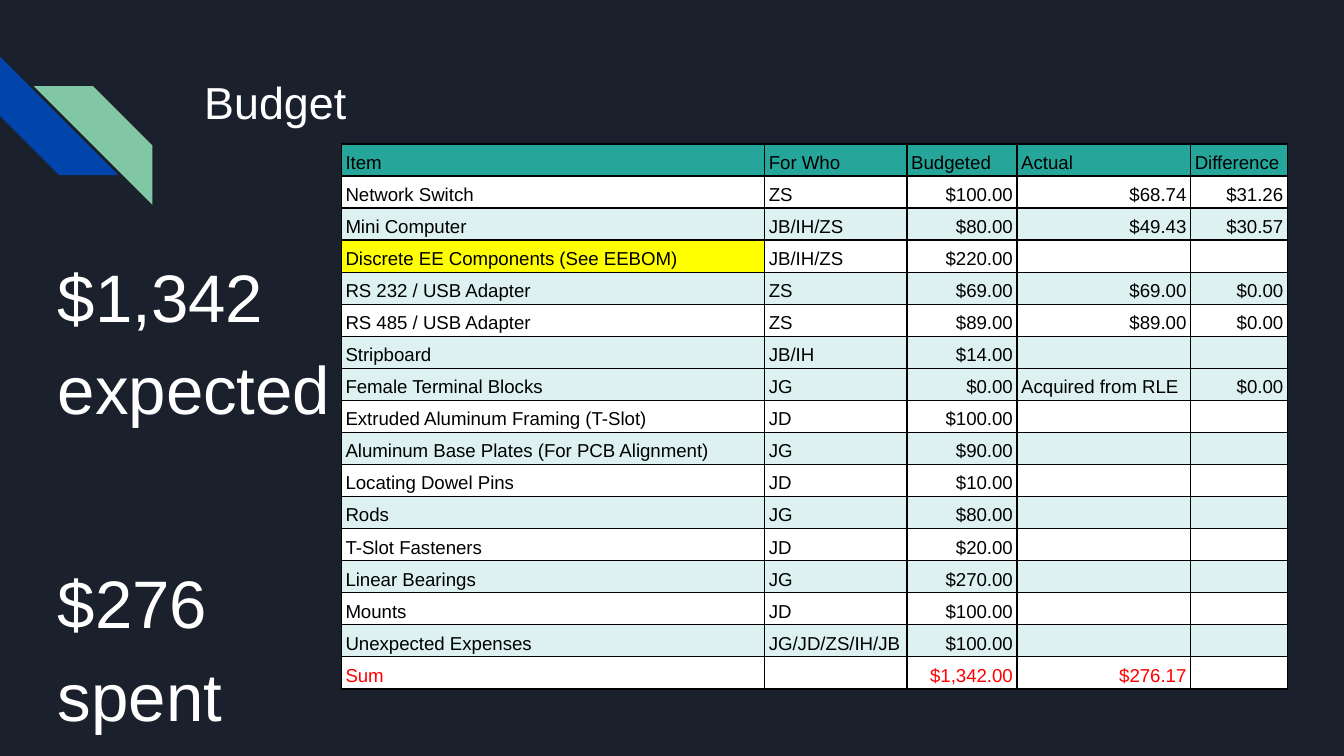
from lxml.etree import SubElement
from pptx import Presentation
from pptx.dml.color import RGBColor
from pptx.enum.shapes import MSO_SHAPE as Shape
from pptx.enum.text import MSO_ANCHOR as Anchor, MSO_AUTO_SIZE as AutoSize, PP_ALIGN as Align
from pptx.oxml.ns import qn
from pptx.util import Cm, Pt

ROWS = [
    ("Item", "For Who", "Budgeted", "Actual", "Difference"),
    ("Network Switch", "ZS", "$100.00", "$68.74", "$31.26"),
    ("Mini Computer", "JB/IH/ZS", "$80.00", "$49.43", "$30.57"),
    ("Discrete EE Components (See EEBOM)", "JB/IH/ZS", "$220.00", "", ""),
    ("RS 232 / USB Adapter", "ZS", "$69.00", "$69.00", "$0.00"),
    ("RS 485 / USB Adapter", "ZS", "$89.00", "$89.00", "$0.00"),
    ("Stripboard", "JB/IH", "$14.00", "", ""),
    ("Female Terminal Blocks", "JG", "$0.00", "Acquired from RLE", "$0.00"),
    ("Extruded Aluminum Framing (T-Slot)", "JD", "$100.00", "", ""),
    ("Aluminum Base Plates (For PCB Alignment)", "JG", "$90.00", "", ""),
    ("Locating Dowel Pins", "JD", "$10.00", "", ""),
    ("Rods", "JG", "$80.00", "", ""),
    ("T-Slot Fasteners", "JD", "$20.00", "", ""),
    ("Linear Bearings", "JG", "$270.00", "", ""),
    ("Mounts", "JD", "$100.00", "", ""),
    ("Unexpected Expenses", "JG/JD/ZS/IH/JB", "$100.00", "", ""),
    ("Sum", "", "$1,342.00", "$276.17", ""),
]
COLUMN_WIDTHS = (8, 2.69, 2.08, 3.28, 1.83)
SECOND_TINT_RUN = 7  # two tinted rows meet here, then the banding goes on


def rgb(value):
    return RGBColor.from_string(value)


def set_attrs(obj, values):
    for name, value in values.items():
        setattr(obj, name, value)


def row_fill(row):
    if row == 0:
        return "26A69A"
    tinted = row % 2 == (1 if row >= SECOND_TINT_RUN else 0)
    return "DDF2F0" if tinted else "FFFFFF"


class BudgetSlide:
    font = "Arial"
    light, dark, alert, highlight = "FFFFFF", "000000", "FF0000", "FFFF00"

    def __init__(self, prs, background):
        self.slide = prs.slides.add_slide(prs.slide_layouts[1])
        fill = self.slide.background.fill
        fill.solid()
        fill.fore_color.rgb = rgb(background)

    def run(self, p, text, size, color):
        r = p.add_run()
        r.text = text
        set_attrs(r.font, {"name": self.font, "size": Pt(size)})
        r.font.color.rgb = rgb(color)

    def stripe(self, left, top, rotation, color):
        sp = self.slide.shapes.add_shape(Shape.DIAGONAL_STRIPE, Cm(left), Cm(top), Cm(2.24), Cm(2.24))
        sp.rotation = rotation
        sp.shadow.inherit = False
        sp.fill.solid()
        sp.fill.fore_color.rgb = rgb(color)
        sp.line.fill.background()

    def placeholder(self, index, box, lines, size, formats):
        sp = self.slide.placeholders[index]
        set_attrs(sp, dict(zip(("left", "top", "width", "height"), map(Cm, box))))
        tf = sp.text_frame
        set_attrs(tf, {"word_wrap": True, "auto_size": AutoSize.NONE, "vertical_anchor": Anchor.TOP})
        set_attrs(tf, {f"margin_{side}": Cm(0.25) for side in ("left", "top", "right", "bottom")})
        for i, text in enumerate(lines):
            p = tf.paragraphs[0] if i == 0 else tf.add_paragraph()
            pPr = p._p.get_or_add_pPr()
            for name in ("marL", "indent"):
                pPr.set(name, "0")
            SubElement(pPr, qn("a:buNone"))
            set_attrs(p, {"alignment": Align.LEFT, **formats[i]})
            self.run(p, text, size, self.light)

    def borders(self, cell):
        tcPr = cell._tc.get_or_add_tcPr()
        for i, side in enumerate(("lnL", "lnR", "lnT", "lnB")):
            ln = tcPr.makeelement(qn(f"a:{side}"), {"w": str(Pt(0.75))})
            fill = SubElement(ln, qn("a:solidFill"))
            SubElement(fill, qn("a:srgbClr"), val=self.dark)
            tcPr.insert(i, ln)

    def cell(self, cell, text, fill, color):
        set_attrs(cell, {"vertical_anchor": Anchor.BOTTOM, "margin_left": Cm(0.08), "margin_right": Cm(0.08),
                         "margin_top": Cm(0.05), "margin_bottom": Cm(0.05)})
        cell.fill.solid()
        cell.fill.fore_color.rgb = rgb(fill)
        self.borders(cell)
        p = cell.text_frame.paragraphs[0]
        if text:
            set_attrs(p, {"line_spacing": 1.15, "alignment": Align.RIGHT if text[0] == "$" else Align.LEFT})
            self.run(p, text, 10, color)
        else:
            # an empty cell at the default size would stretch its row
            SubElement(p._p, qn("a:endParaRPr"), sz="1000")

    def table(self, left, top, height, rows, widths):
        frame = self.slide.shapes.add_table(len(rows), len(widths), Cm(left), Cm(top), Cm(sum(widths)), Cm(height))
        table = frame.table
        for column, width in zip(table.columns, widths):
            column.width = Cm(width)
        for i, row in enumerate(rows):
            color = self.alert if row[0] == "Sum" else self.dark
            for j, text in enumerate(row):
                fill = self.highlight if text.startswith("Discrete") else row_fill(i)
                self.cell(table.cell(i, j), text, fill, color)


def main():
    prs = Presentation()
    set_attrs(prs, {"slide_width": Cm(25.4), "slide_height": Cm(14.29)})
    s = BudgetSlide(prs, "1B212C")
    s.stripe(0, 1.07, 270, "0145AC")
    s.stripe(0.64, 1.63, 90, "82C7A5")
    s.placeholder(0, (3.61, 1.17, 19.56, 2.54), ["Budget"], 24, [{}])
    spacing = {"line_spacing": 1.15, "space_after": Pt(16)}
    s.placeholder(1, (0.84, 4.34, 5.99, 7.42), ["$1,342 expected", "$276 spent"], 36,
                  [{**spacing, "space_before": Pt(0)}, {**spacing, "space_before": Pt(49)}])
    s.table(6.45, 2.72, 10.31, ROWS, COLUMN_WIDTHS)
    prs.save("out.pptx")


if __name__ == "__main__":
    main()
